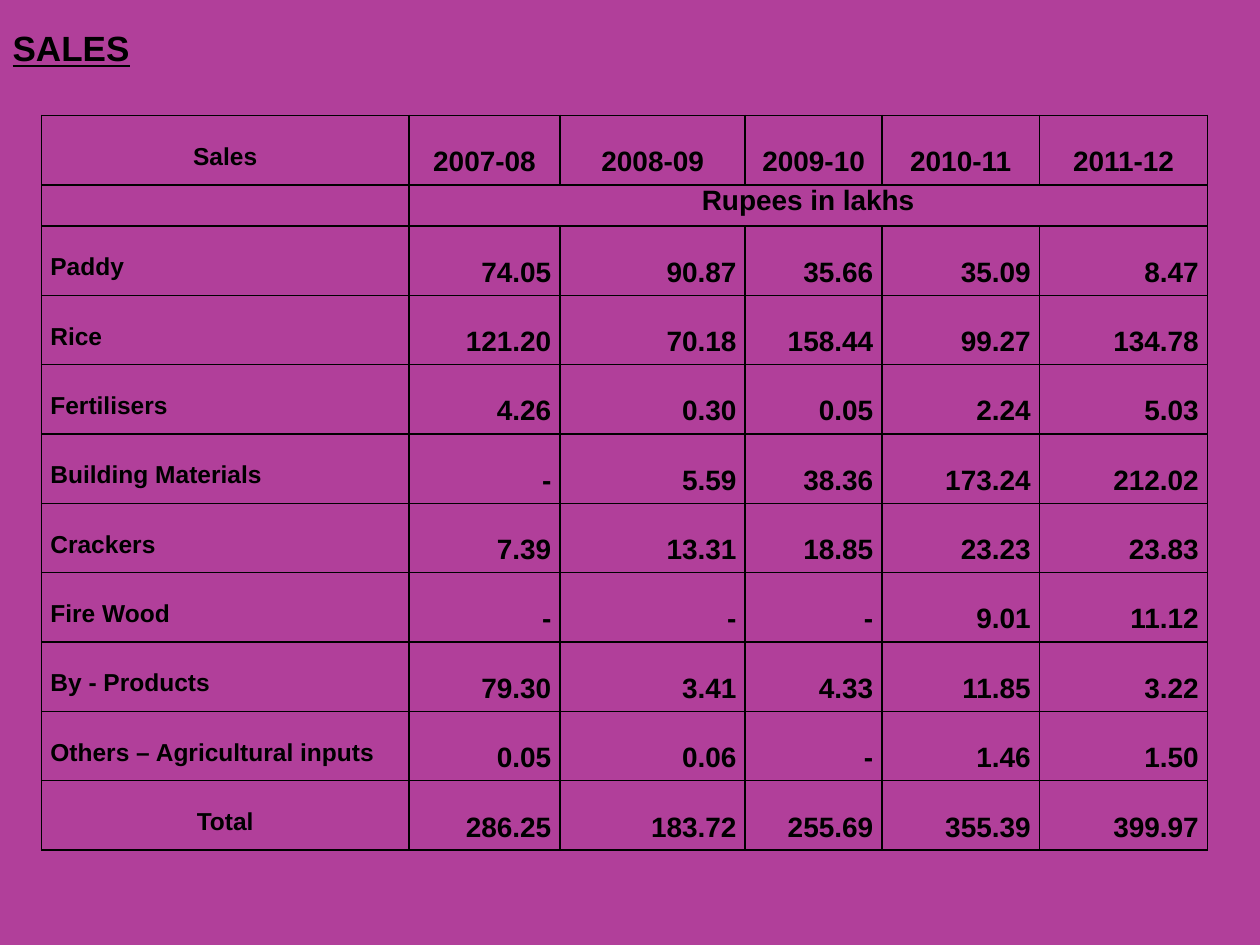
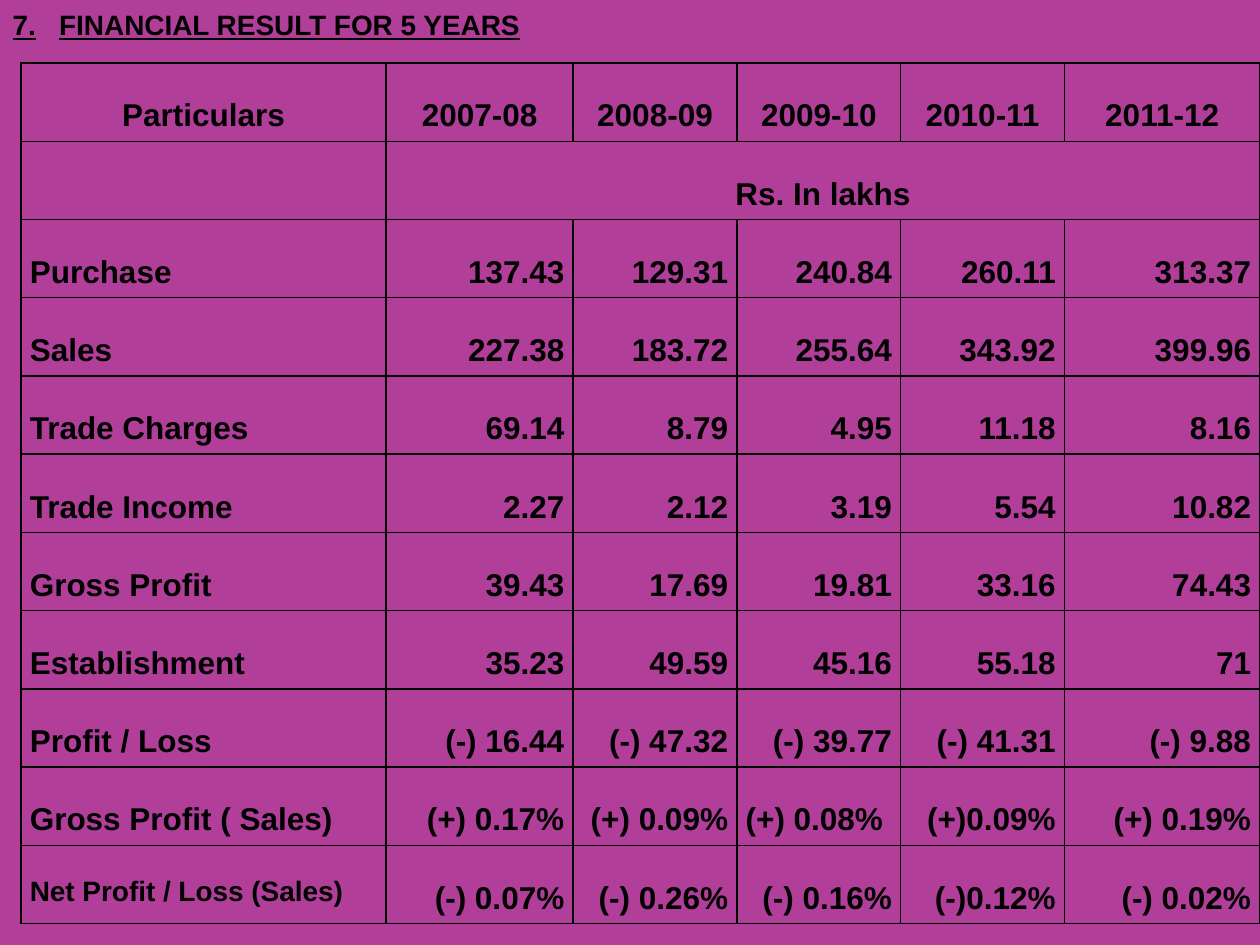
from lxml import etree
from pptx import Presentation
from pptx.dml.color import RGBColor as Rgb
from pptx.enum.text import MSO_ANCHOR as Anchor, MSO_AUTO_SIZE as Auto, PP_ALIGN as Align
from pptx.oxml.ns import qn
from pptx.util import Inches, Pt

INK = {"back": "B13F9A", "text": "000000", "line": "000000"}
FONT = "Arial"
YEARS = ["2007-08", "2008-09", "2009-10", "2010-11", "2011-12"]

deck = Presentation()
deck.slide_width, deck.slide_height = Inches(10), Inches(7.5)
WIDE, HIGH = deck.slide_width / 100, deck.slide_height / 100

back = deck.slide_master.background.fill
back.solid()
back.fore_color.rgb = Rgb.from_string(INK["back"])


def write(frame, text, size=16, align=Align.LEFT, gap=1.0, under=False, tab=None):
    para = frame.paragraphs[0]
    para.alignment = align
    para.line_spacing = gap
    if tab:
        stops = etree.SubElement(para._p.get_or_add_pPr(), qn("a:tabLst"))
        etree.SubElement(stops, qn("a:tab"), pos=str(tab), algn="l")
    run = para.add_run()
    run.text = text
    font = run.font
    font.name, font.size, font.bold, font.underline = FONT, Pt(size), True, under
    font.color.rgb = Rgb.from_string(INK["text"])


def rule(cell):
    cell.fill.background()
    props = cell._tc.get_or_add_tcPr()
    for spot, side in enumerate(["lnL", "lnR", "lnT", "lnB"]):
        line = etree.Element(qn("a:" + side), w=str(Pt(1)))
        fill = etree.SubElement(line, qn("a:solidFill"))
        etree.SubElement(fill, qn("a:srgbClr"), val=INK["line"])
        props.insert(spot, line)


pages = [
    dict(
        title="SALES", top=1.73, tall=6.67, size=20, tab=None,
        left=3.3, start=12.22, cols=[29.15, 12, 14.7, 10.85, 12.5, 13.35],
        row=7.34, band=4.35, gap=1.0, num=16, head=14, label=14, last=14,
        side=Align.LEFT, end=Align.CENTER, name="Sales", unit="Rupees in lakhs",
        odd=None,
        rows=[
            ["Paddy", "74.05", "90.87", "35.66", "35.09", "8.47"],
            ["Rice", "121.20", "70.18", "158.44", "99.27", "134.78"],
            ["Fertilisers", "4.26", "0.30", "0.05", "2.24", "5.03"],
            ["Building Materials", "-", "5.59", "38.36", "173.24", "212.02"],
            ["Crackers", "7.39", "13.31", "18.85", "23.23", "23.83"],
            ["Fire Wood", "-", "-", "-", "9.01", "11.12"],
            ["By - Products", "79.30", "3.41", "4.33", "11.85", "3.22"],
            ["Others – Agricultural inputs", "0.05", "0.06", "-", "1.46", "1.50"],
            ["Total", "286.25", "183.72", "255.69", "355.39", "399.97"],
        ],
    ),
    dict(
        title="7.\tFINANCIAL RESULT FOR 5 YEARS", top=0, tall=5.2, size=16,
        tab=Inches(0.37),
        left=1.67, start=6.67, cols=[28.97, 14.85, 13, 13, 13, 15.5],
        row=8.28, band=8.28, gap=2.0, num=18, head=18, label=18, last=16,
        side=Align.JUSTIFY, end=Align.JUSTIFY, name="Particulars", unit="Rs. In lakhs",
        odd="(+) 0.08%",
        rows=[
            ["Purchase", "137.43", "129.31", "240.84", "260.11", "313.37"],
            ["Sales", "227.38", "183.72", "255.64", "343.92", "399.96"],
            ["Trade Charges", "69.14", "8.79", "4.95", "11.18", "8.16"],
            ["Trade Income", "2.27", "2.12", "3.19", "5.54", "10.82"],
            ["Gross Profit", "39.43", "17.69", "19.81", "33.16", "74.43"],
            ["Establishment", "35.23", "49.59", "45.16", "55.18", "71"],
            ["Profit / Loss", "(-) 16.44", "(-) 47.32", "(-) 39.77", "(-) 41.31", "(-) 9.88"],
            ["Gross Profit ( Sales)", "(+) 0.17%", "(+) 0.09%", "(+) 0.08%", "(+)0.09%", "(+) 0.19%"],
            ["Net Profit / Loss (Sales)", "(-) 0.07%", "(-) 0.26%", "(-) 0.16%", "(-)0.12%", "(-) 0.02%"],
        ],
    ),
]

for page in pages:
    slide = deck.slides.add_slide(deck.slide_layouts[5])
    title = slide.shapes.title
    title.left, title.top = 0, int(page["top"] * HIGH)
    title.width, title.height = deck.slide_width, int(page["tall"] * HIGH)
    frame = title.text_frame
    frame.auto_size, frame.vertical_anchor = Auto.NONE, Anchor.MIDDLE
    write(frame, page["title"], size=page["size"], under=True, tab=page["tab"])

    lines = [[page["name"]] + YEARS, ["", page["unit"]]] + page["rows"]
    highs = [page["row"], page["band"]] + [page["row"]] * len(page["rows"])
    table = slide.shapes.add_table(
        len(lines), len(page["cols"]),
        int(page["left"] * WIDE), int(page["start"] * HIGH),
        int(sum(page["cols"]) * WIDE), int(sum(highs) * HIGH),
    ).table
    table.first_row = table.horz_banding = False
    for col, share in zip(table.columns, page["cols"]):
        col.width = int(share * WIDE)
    for row, share in zip(table.rows, highs):
        row.height = int(share * HIGH)
    table.cell(1, 1).merge(table.cell(1, len(YEARS)))

    for cell in table.iter_cells():
        rule(cell)
        cell.margin_left = cell.margin_right = Inches(0.07)
        cell.margin_top = cell.margin_bottom = 0

    for r, line in enumerate(lines):
        final = r == len(lines) - 1
        for c, text in enumerate(line):
            if not text:
                continue
            size, align = page["num"], Align.RIGHT
            if c == 0:
                size = page["last"] if final else page["label"]
                align = page["end"] if final else page["side"]
            if r == 0 and c == 0:
                size = page["head"]
            if r < 2:
                align = Align.CENTER
            elif text == page["odd"]:
                align = Align.LEFT
            gap = page["gap"] if r == 1 else 2.0
            write(table.cell(r, c).text_frame, text, size=size, align=align, gap=gap)

deck.save("out.pptx")
